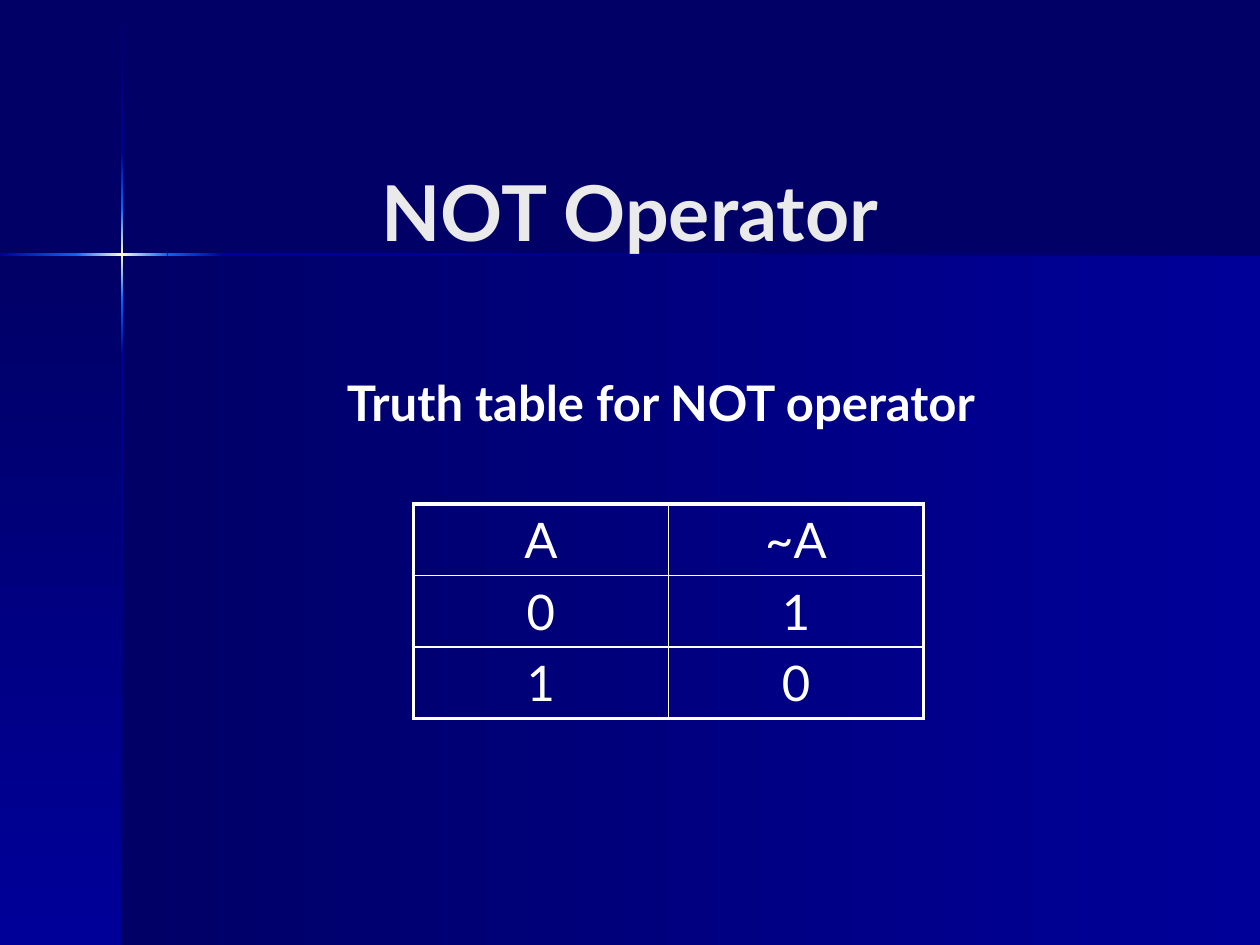
from lxml import etree
from pptx import Presentation
from pptx.dml.color import RGBColor
from pptx.enum.shapes import MSO_SHAPE
from pptx.enum.text import MSO_ANCHOR, PP_ALIGN
from pptx.oxml.ns import qn
from pptx.util import Inches, Pt

RECT = MSO_SHAPE.RECTANGLE
CENTER = PP_ALIGN.CENTER
MIDDLE, TOP = MSO_ANCHOR.MIDDLE, MSO_ANCHOR.TOP

THEME = {
    "font": "Lato", "night": "000066", "navy": "000099", "blue": "0066FF",
    "glow": "FFFFCC", "title": "EAEAEA", "text": "FFFFFF",
    "head": 44, "body": 28, "thick": 2.25, "thin": 1,
}

TITLE = "NOT Operator"
LEAD = "Truth table for NOT operator"
ROWS = [("A", "~A"), ("0", "1"), ("1", "0")]

ACROSS, DOWN = 0, 90
WIDE, HIGH, EDGE, LEVEL, BEAM = 10, 7.5, 0.97, 2.02, 0.02
PANELS = [
    ((EDGE, LEVEL, WIDE - EDGE, HIGH - LEVEL), ACROSS, ("night", "navy")),
    ((0, LEVEL, EDGE, HIGH - LEVEL), DOWN, ("night", "navy")),
]
RAYS = [
    (DOWN, 0.01, 1.21, ("night", "navy")),
    (DOWN, 2.82, HIGH, ("navy", "night")),
    (ACROSS, 1.77, WIDE, ("navy", "night")),
    (DOWN, 2.38, 2.82, ("blue", "navy")),
    (DOWN, 1.21, 1.65, ("navy", "blue")),
    (DOWN, 1.65, 2.38, ("blue", "glow", "blue")),
    (ACROSS, 0, 0.61, ("navy", "blue")),
    (ACROSS, 1.33, 1.77, ("blue", "navy")),
    (ACROSS, 0.6, 1.33, ("blue", "glow", "blue")),
]
GRID = (3.28, 4, 4.05, 1.7)


def color(name):
    return RGBColor.from_string(THEME[name])


def blend(slide, box, angle, tones):
    shape = slide.shapes.add_shape(RECT, *map(Inches, box))
    shape.shadow.inherit = False
    shape.line.fill.background()
    shape.fill.background()
    grad = etree.Element(qn("a:gradFill"), rotWithShape="1")
    stops = etree.SubElement(grad, qn("a:gsLst"))
    for i, tone in enumerate(tones):
        spot = 100000 * i // (len(tones) - 1)
        stop = etree.SubElement(stops, qn("a:gs"), pos=str(spot))
        etree.SubElement(stop, qn("a:srgbClr"), val=THEME[tone])
    etree.SubElement(grad, qn("a:lin"), ang=str(angle * 60000), scaled="0")
    props = shape._element.spPr
    props.replace(props.find(qn("a:noFill")), grad)


def write(frame, text, size, tone, bold):
    para = frame.paragraphs[0]
    para.text = text
    para.alignment = CENTER
    font = para.font
    font.name, font.size, font.bold = THEME["font"], Pt(THEME[size]), bold
    font.color.rgb = color(tone)
    return para


def label(slide, box, text, size, tone, anchor):
    frame = slide.shapes.add_textbox(*map(Inches, box)).text_frame
    frame.word_wrap = True
    frame.vertical_anchor = anchor
    return write(frame, text, size, tone, True)


def border(cell, outer):
    props = cell._tc.get_or_add_tcPr()
    for i, (side, thick) in enumerate(outer.items()):
        width = Pt(THEME["thick" if thick else "thin"])
        line = etree.Element(qn("a:" + side), w=str(width))
        fill = etree.SubElement(line, qn("a:solidFill"))
        etree.SubElement(fill, qn("a:srgbClr"), val=THEME["text"])
        props.insert(i, line)


def truth(slide):
    rows, cols = len(ROWS), len(ROWS[0])
    table = slide.shapes.add_table(rows, cols, *map(Inches, GRID)).table
    table.first_row = table.horz_banding = False
    for r, row in enumerate(ROWS):
        for c, text in enumerate(row):
            cell = table.cell(r, c)
            cell.fill.background()
            write(cell.text_frame, text, "body", "text", False)
            border(cell, {"lnL": c == 0, "lnR": c == cols - 1,
                          "lnT": r == 0, "lnB": r == rows - 1})


def main():
    deck = Presentation()
    deck.slide_width, deck.slide_height = Inches(WIDE), Inches(HIGH)
    slide = deck.slides.add_slide(deck.slide_layouts[6])
    back = slide.background.fill
    back.solid()
    back.fore_color.rgb = color("night")
    for box, angle, tones in PANELS:
        blend(slide, box, angle, tones)
    for angle, start, end, tones in RAYS:
        if angle == DOWN:
            box = (EDGE - BEAM / 2, start, BEAM, end - start)
        else:
            box = (start, LEVEL - BEAM / 2, end - start, BEAM)
        blend(slide, box, angle, tones)
    label(slide, (0.5, 1.17, 9, 1), TITLE, "head", "title", MIDDLE)
    lead = label(slide, (1.33, 3, 7.83, 3), LEAD, "body", "text", TOP)
    lead.line_spacing = 0.8
    truth(slide)
    deck.save("out.pptx")


if __name__ == "__main__":
    main()
